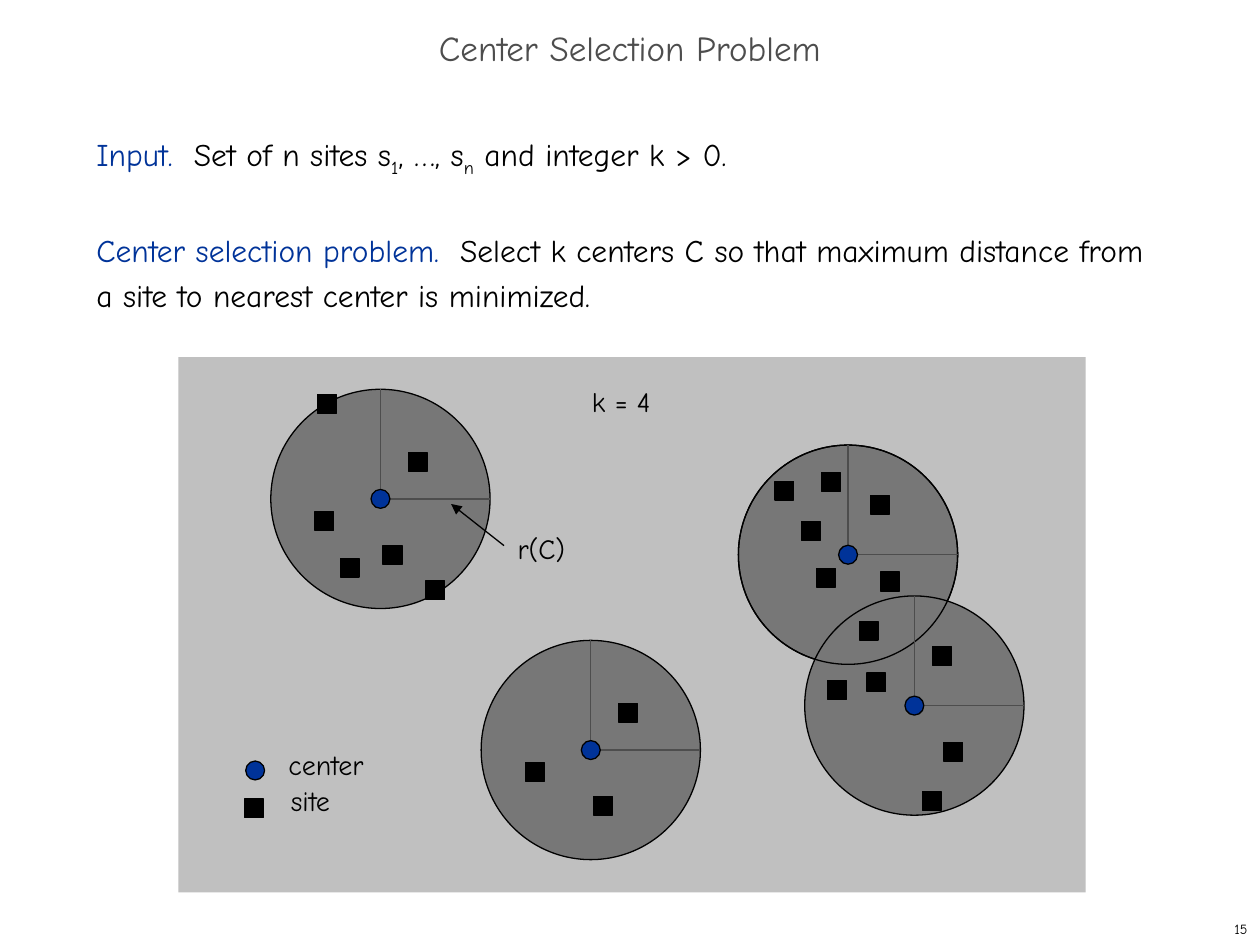
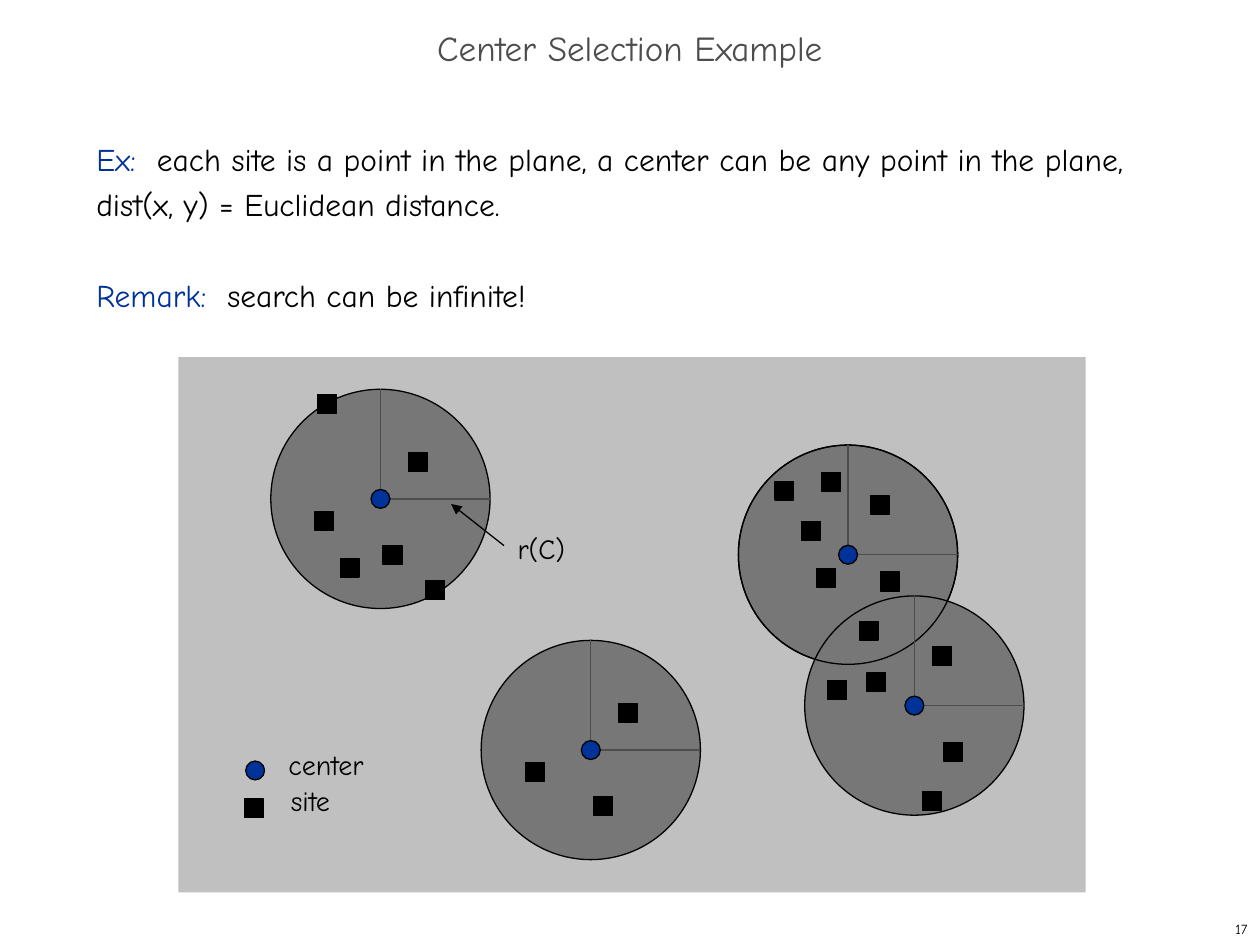
from lxml import etree
from pptx import Presentation
from pptx.dml.color import RGBColor
from pptx.enum.shapes import MSO_CONNECTOR, MSO_SHAPE
from pptx.enum.text import MSO_ANCHOR, PP_ALIGN
from pptx.oxml.ns import qn
from pptx.util import Pt

RECT, OVAL = MSO_SHAPE.RECTANGLE, MSO_SHAPE.OVAL
LINE = MSO_CONNECTOR.STRAIGHT
LEFT, MID, RIGHT = PP_ALIGN.LEFT, PP_ALIGN.CENTER, PP_ALIGN.RIGHT
TOP, CORE = MSO_ANCHOR.TOP, MSO_ANCHOR.MIDDLE

THEME = {
    "font": "Comic Neue",
    "ink": RGBColor(0x00, 0x00, 0x00),
    "blue": RGBColor(0x00, 0x33, 0x99),
    "slate": RGBColor(0x4D, 0x4D, 0x4D),
    "disc": RGBColor(0x77, 0x77, 0x77),
    "panel": RGBColor(0xC0, 0xC0, 0xC0),
    "title": 20, "body": 18, "label": 16, "page": 8, "rule": 0.75,
}

# Text styles
STYLES = {
    "title": {"align": MID, "anchor": CORE, "wrap": True,
              "para": {"line_spacing": 0.7}},
    "body": {"align": LEFT, "anchor": TOP, "wrap": True,
             "para": {"line_spacing": Pt(26)}},
    "label": {"align": LEFT, "anchor": TOP, "wrap": False, "para": {}},
    "page": {"align": RIGHT, "anchor": CORE, "wrap": False, "para": {}},
}

# Wording: each run is text, colour, baseline
SLIDES = [
    {"title": "Center Selection Problem", "page": "15", "note": "k = 4",
     "body": [
         [("Input.  ", "blue", 0), ("Set of n sites s", "ink", 0),
          ("1", "ink", -25), (", …, s", "ink", 0), ("n", "ink", -25),
          (" and integer k > 0.", "ink", 0)],
         [("Center selection problem.  ", "blue", 0),
          ("Select k centers C so that maximum distance from a site to "
           "nearest center is minimized.", "ink", 0)]]},
    {"title": "Center Selection Example", "page": "17", "note": None,
     "body": [
         [("Ex:  ", "blue", 0),
          ("each site is a point in the plane, a center can be any point in "
           "the plane, dist(x, y) = Euclidean distance.", "ink", 0)],
         [("Remark:  ", "blue", 0),
          ("search can be infinite!", "ink", 0)]]},
]

# Diagram, in points
RADIUS, DOT = 62.64, 10.8
HUBS = [(217.4, 285.1), (484.6, 317), (522.5, 403.2), (337.6, 428.6)]
KEY_DOT = (145.8, 440.3)
KEY_SITE = (139.7, 456.5)
SITES = [
    (243.4, 331.9), (181.4, 225.4), (218.9, 311.8), (180, 292.3),
    (194.4, 319), (233.3, 258.5), (491, 355), (457.9, 298.1),
    (503.3, 326.9), (469.4, 270), (466.6, 324.7), (497.5, 283),
    (442.8, 275), (527, 452.2), (539.3, 424.1), (495.4, 384.5),
    (473, 388.8), (532.8, 369.4), (339.1, 455), (300.2, 435.6),
    (353.5, 401.8), KEY_SITE,
]
LABELS = [("center", 157.7, 423.4, 58.3), ("site", 159.1, 444.2, 37.4),
          ("r(C)", 288.7, 300.2, 41.8)]


def draw(slide, kind, box, fill, edge="ink"):
    shape = slide.shapes.add_shape(kind, *map(Pt, box))
    shape.shadow.inherit = False
    if fill:
        shape.fill.solid()
        shape.fill.fore_color.rgb = THEME[fill]
    else:
        shape.fill.background()
    if edge:
        shape.line.color.rgb = THEME[edge]
        shape.line.width = Pt(THEME["rule"])
    else:
        shape.line.fill.background()


def write(slide, box, paras, style):
    look = STYLES[style]
    frame = slide.shapes.add_textbox(*map(Pt, box)).text_frame
    frame.word_wrap = look["wrap"]
    frame.vertical_anchor = look["anchor"]
    for i, runs in enumerate(paras):
        para = frame.add_paragraph() if i else frame.paragraphs[0]
        para.alignment = look["align"]
        for name, value in look["para"].items():
            setattr(para, name, value)
        if i:
            para.space_before = Pt(26)
        for text, color, base in runs:
            run = para.add_run()
            run.text = text
            form = {"name": THEME["font"], "size": Pt(THEME[style])}
            for name, value in form.items():
                setattr(run.font, name, value)
            run.font.color.rgb = THEME[color]
            if base:
                run._r.get_or_add_rPr().set("baseline", str(base * 1000))


deck = Presentation()
deck.slide_width, deck.slide_height = Pt(720), Pt(540)

for data in SLIDES:
    slide = deck.slides.add_slide(deck.slide_layouts[6])

    # Page number and panel
    write(slide, (570, 522, 150, 18), [[(data["page"], "ink", 0)]], "page")
    draw(slide, RECT, (102, 204, 518.4, 306), "panel", None)

    # Discs; the second keeps its outline above the third
    discs = [(hub, "disc") for hub in HUBS] + [(HUBS[1], None)]
    for (x, y), fill in discs:
        draw(slide, OVAL, (x - RADIUS, y - RADIUS, 2 * RADIUS, 2 * RADIUS),
             fill)

    # Radius lines, then the arrow to r(C)
    rules = [(288, 311.8, 257.8, 288, "ink")]
    for x, y in HUBS:
        rules += [(x + DOT / 2, y, x + RADIUS, y, "slate"),
                  (x, y - DOT / 2, x, y - RADIUS, "slate")]
    for *ends, color in rules:
        rule = slide.shapes.add_connector(LINE, *map(Pt, ends))
        rule.line.color.rgb = THEME[color]
        rule.line.width = Pt(THEME["rule"])
        props = rule._element.spPr
        etree.SubElement(props, qn("a:effectLst"))
        if color == "ink":
            tip = etree.SubElement(props.find(qn("a:ln")), qn("a:tailEnd"))
            tip.set("type", "triangle")

    # Centers and sites, with their key
    for x, y in HUBS + [KEY_DOT]:
        draw(slide, OVAL, (x - DOT / 2, y - DOT / 2, DOT, DOT), "blue")
    for x, y in SITES:
        draw(slide, RECT, (x, y, DOT, DOT), "ink")

    # Labels
    notes = [(data["note"], 331.2, 216, 48.2)] if data["note"] else []
    for text, x, y, wide in LABELS + notes:
        write(slide, (x, y, wide, 26.6), [[(text, "ink", 0)]], "label")

    # Title and body
    write(slide, (0, 12, 720, 36), [[(data["title"], "slate", 0)]], "title")
    write(slide, (48, 72, 618, 426), data["body"], "body")

deck.save("out.pptx")
